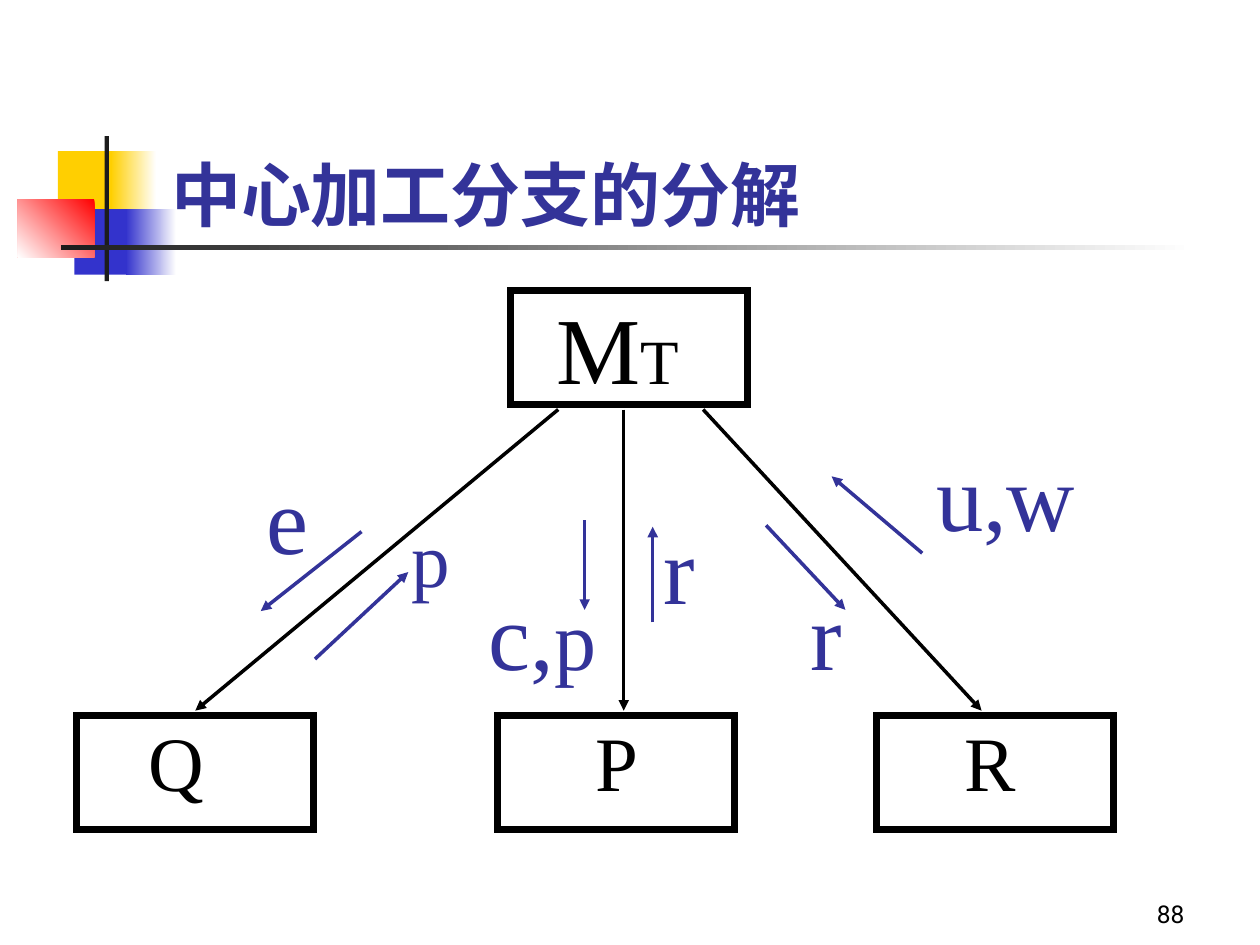
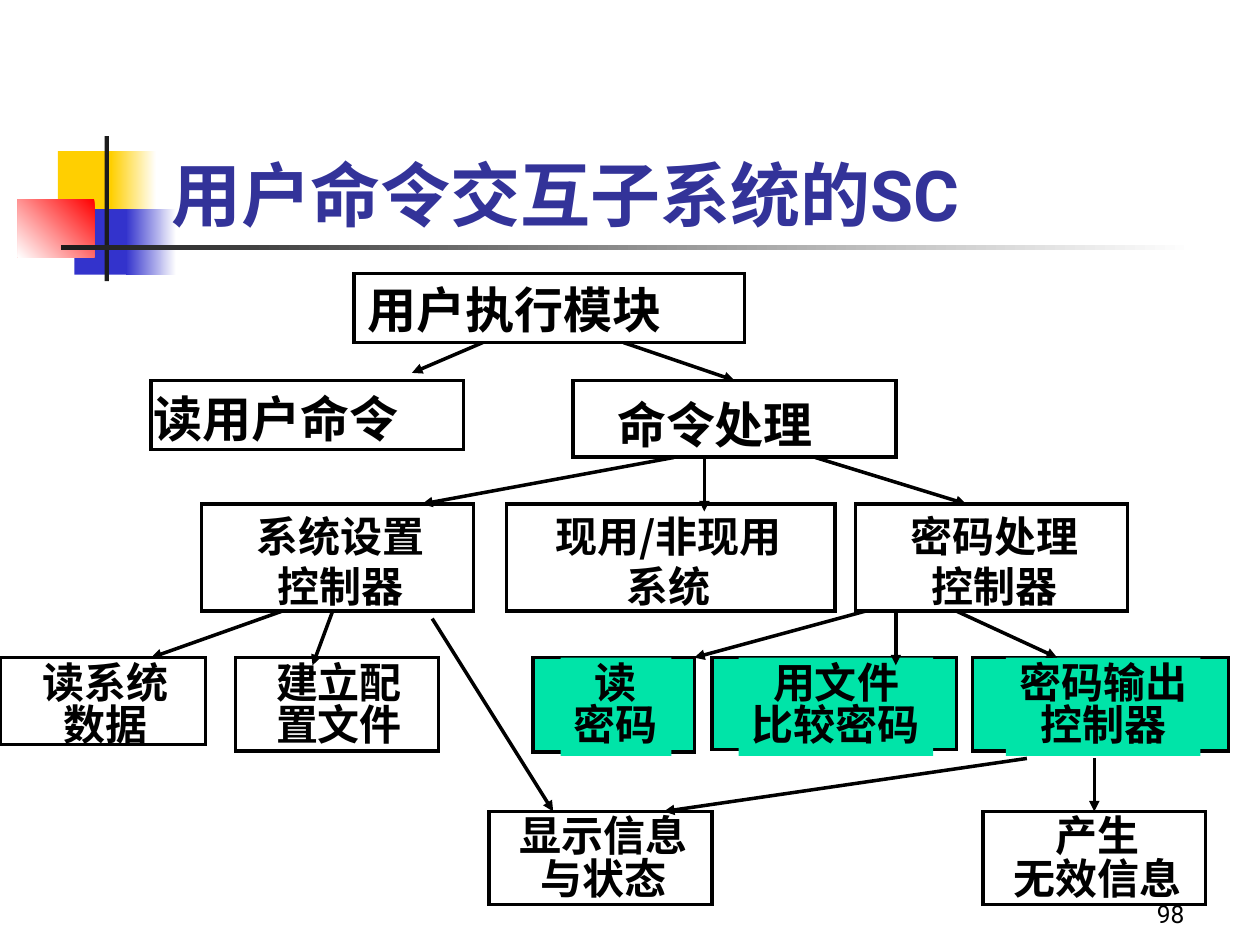
from lxml import etree
from pptx import Presentation
from pptx.dml.color import RGBColor
from pptx.enum.shapes import MSO_CONNECTOR, MSO_SHAPE
from pptx.enum.text import MSO_ANCHOR, MSO_AUTO_SIZE, PP_ALIGN
from pptx.oxml.ns import qn
from pptx.util import Pt

RECT = MSO_SHAPE.RECTANGLE
STRAIGHT = MSO_CONNECTOR.STRAIGHT
LEFT, CENTER, RIGHT = PP_ALIGN.LEFT, PP_ALIGN.CENTER, PP_ALIGN.RIGHT
TOP, BOTTOM = MSO_ANCHOR.TOP, MSO_ANCHOR.BOTTOM
GROW, FIXED = MSO_AUTO_SIZE.SHAPE_TO_FIT_TEXT, MSO_AUTO_SIZE.NONE
TOP_SIDE = 0

COLORS = {
    "white": "FFFFFF", "black": "000000", "ink": "1C1C1C", "title": "333399",
    "yellow": "FFCF01", "blue": "3333CC", "red": "FF0000", "green": "00E4A8",
}
HAN, LATIN, SERIF = "Noto Sans CJK SC", "Roboto", "Times New Roman"

ORNAMENT = [
    ((33.1, 86.4, 34.6, 37.4), ("yellow",), 0),
    ((63.4, 86.4, 25.9, 37.4), ("white", "yellow"), 180),
    ((42.5, 119.5, 33.1, 37.4), ("blue",), 0),
    ((72, 119.5, 28.8, 37.4), ("white", "blue"), 180),
    ((10.1, 113.8, 43.9, 33.1), ("red", "white"), 225),
    ((59.8, 77.8, 2.4, 82.8), ("ink",), 0),
    ((34.6, 140.2, 648, 2.5), ("white", "ink"), 180),
]
TITLE_AREA = (90.7, 48.2, 613.4, 90)
NUMBER_AREA = (534.2, 498.2, 149.8, 36)

BRANCH_TITLE, BRANCH_NUMBER = "中心加工分支的分解", "88"
MODULE_SIZE = (135.4, 64.8)
MODULES = [
    (291.6, 166.3, 311, 86, [("M", 54), ("T", 36)]),
    (284.4, 409, 333.4, 40, [("P", 44)]),
    (43.9, 409, 77.8, 47, [("Q", 44)]),
    (501.1, 409, 544.3, 45, [("R", 44)]),
]
CALL_TOP, CALL_BOTTOM = 234, 406.1
CALLS = [(356.4, 356.4), (401.8, 560.9), (319, 111.6)]
DATA_FLOWS = [
    ((206.6, 303.8, 149, 349.2), (145.4, 259.2, 39), [("e", 54)]),
    ((334.1, 297.4, 334.1, 348.5), (272.2, 325.4, 78), [("c,", 54), ("p", 48)]),
    ((373, 355.7, 373, 301), (372.2, 288, 33), [("r", 54)]),
    ((527, 316.1, 475.2, 272.2), (527.8, 246.2, 96), [("u,w", 54)]),
    ((180, 376.6, 233.3, 326.9), (228.2, 288, 37), [("p", 44)]),
    ((437.8, 300.2, 483.1, 348.5), (455.8, 325.4, 33), [("r", 54)]),
]

CHART_TITLE, CHART_NUMBER = "用户命令交互子系统的SC", "98"
COMMANDS = [
    ("用户执行模块", (202.3, 156.2, 223.2, 39.6), (203, 156.2, 184)),
    ("读用户命令", (86.4, 217.4, 178.6, 39.6), (80.6, 218.2, 156)),
    ("命令处理", (327.6, 217.4, 184.3, 43.9), (345.6, 221.8, 128)),
]
LEVELS = [
    (288, 1, [
        ("系统设置\n控制器", 115.2, 155.5, 61.2, 139.2, 111.2, "white"),
        ("现用/非现用\n系统", 289.4, 187.9, 61.2, 299, 166, "white"),
        ("密码处理\n控制器", 488.9, 155.5, 61.2, 512.9, 111.2, "white"),
    ]),
    (375.8, 0.85, [
        ("读系统\n数据", 0, 117.4, 49.7, 16.8, 87.4, "white"),
        ("建立配\n置文件", 134.6, 115.9, 53.3, 150, 87.4, "white"),
        ("读\n密码", 304.6, 92.2, 54, 320.3, 63.4, "green"),
        ("用文件\n比较密码", 406.8, 139.7, 52.6, 422.1, 111.2, "green"),
        ("密码输出\n控制器", 555.8, 146.2, 53.3, 574.8, 111.2, "green"),
    ]),
    (463.7, 0.85, [
        ("显示信息\n与状态", 279.4, 127.4, 53.3, 289.2, 111.2, "white"),
        ("产生\n无效信息", 561.6, 127.4, 53.3, 571.4, 111.2, "white"),
    ]),
]
CONTROL_ARROWS = [
    ((356.4, 195.8, 419.8, 217.4), "命令处理"),
    ((275.8, 195.8, 235.4, 213.1), None),
    ((465.8, 261.4, 552.2, 288), None),
    ((402.5, 261.4, 402.5, 292.3), None),
    ((385.2, 261.4, 241.2, 288), None),
    ((511.9, 349.2, 511.9, 380.2), None),
    ((546.5, 349.2, 604.1, 375.8), None),
    ((494.6, 349.2, 396.7, 375.8), None),
    ((190.1, 349.2, 178.6, 380.2), None),
    ((161.3, 349.2, 86.4, 375.8), None),
    ((247, 353.5, 316.1, 463.7), None),
    ((586.8, 433.4, 379.4, 463.7), None),
    ((625.3, 433.4, 625.3, 463.7), "产生\n无效信息"),
]


def rgb(name):
    return RGBColor.from_string(COLORS[name])


def points(values):
    return [Pt(value) for value in values]


def add_box(slide, area, fills, angle=0, border=0):
    box = slide.shapes.add_shape(RECT, *points(area))
    box.shadow.inherit = False
    if len(fills) == 1:
        box.fill.solid()
        box.fill.fore_color.rgb = rgb(fills[0])
    else:
        box.fill.gradient()
        box.fill.gradient_angle = angle
        for stop, name in zip(box.fill.gradient_stops, fills):
            stop.color.rgb = rgb(name)
    if border:
        box.line.color.rgb = rgb("black")
        box.line.width = Pt(border)
        corner = etree.SubElement(box.line._get_or_add_ln(), qn("a:miter"))
        corner.set("lim", "800000")
    else:
        box.line.fill.background()
    return box


def add_text(slide, area, lines, font, color="black", bold=False, align=LEFT,
             anchor=TOP, wrap=False, spacing=1, fill=None):
    label = slide.shapes.add_textbox(*points(area))
    if fill:
        label.fill.solid()
        label.fill.fore_color.rgb = rgb(fill)
    frame = label.text_frame
    frame.word_wrap = wrap
    frame.auto_size = FIXED if wrap else GROW
    frame.vertical_anchor = anchor
    for index, runs in enumerate(lines):
        paragraph = frame.add_paragraph() if index else frame.paragraphs[0]
        paragraph.alignment = align
        paragraph.line_spacing = spacing
        for text, size in runs:
            run = paragraph.add_run()
            run.text = text
            run.font.size = Pt(size)
            run.font.bold = bold
            run.font.color.rgb = rgb(color)
            run.font.name = font
            east_asian = etree.SubElement(run._r.get_or_add_rPr(), qn("a:ea"))
            east_asian.set("typeface", HAN)


def add_arrow(slide, ends, color="black", target=None):
    arrow = slide.shapes.add_connector(STRAIGHT, *points(ends))
    arrow.line.color.rgb = rgb(color)
    arrow.line.width = Pt(2)
    head = etree.SubElement(arrow.line._get_or_add_ln(), qn("a:tailEnd"))
    head.set("type", "triangle")
    etree.SubElement(arrow._element.spPr, qn("a:effectLst"))
    if target is not None:
        arrow.end_connect(target, TOP_SIDE)


def add_page(deck, title, font, number):
    slide = deck.slides.add_slide(deck.slide_layouts[6])
    for area, fills, angle in ORNAMENT:
        add_box(slide, area, fills, angle)
    add_text(slide, TITLE_AREA, [[(title, 40)]], font, "title", bold=True,
             anchor=BOTTOM, wrap=True)
    add_text(slide, NUMBER_AREA, [[(number, 14)]], LATIN, align=RIGHT,
             anchor=BOTTOM, wrap=True)
    return slide


def build_branches(deck):
    slide = add_page(deck, BRANCH_TITLE, HAN, BRANCH_NUMBER)
    for left, top, label_left, label_width, runs in MODULES:
        add_box(slide, (left, top, *MODULE_SIZE), ["white"], border=4)
        label_area = (label_left, top - 4.3, label_width, runs[0][1] * 4 / 3)
        add_text(slide, label_area, [runs], SERIF)
    for start, end in CALLS:
        add_arrow(slide, (start, CALL_TOP, end, CALL_BOTTOM))
    for ends, place, runs in DATA_FLOWS:
        add_arrow(slide, ends, "title")
        add_text(slide, (*place, runs[0][1] * 4 / 3), [runs], SERIF, "title")


def build_structure_chart(deck):
    slide = add_page(deck, CHART_TITLE, LATIN, CHART_NUMBER)
    boxes = {}
    for name, area, place in COMMANDS:
        boxes[name] = add_box(slide, area, ["white"], border=2)
        add_text(slide, (*place, 40.3), [[(name, 28)]], HAN, bold=True)
    for top, spacing, controllers in LEVELS:
        for name, left, width, height, label_left, label_width, fill in controllers:
            boxes[name] = add_box(slide, (left, top, width, height), [fill], border=2)
            lines = [[(line, 24)] for line in name.split("\n")]
            label_area = (label_left, top, label_width, 64.8 if spacing == 1 else 56.2)
            add_text(slide, label_area, lines, HAN, bold=True, align=CENTER,
                     spacing=spacing, fill=fill if fill == "green" else None)
    for ends, target in CONTROL_ARROWS:
        add_arrow(slide, ends, target=boxes.get(target))


def main():
    deck = Presentation()
    deck.slide_width, deck.slide_height = Pt(720), Pt(540)
    build_branches(deck)
    build_structure_chart(deck)
    deck.save("out.pptx")


if __name__ == "__main__":
    main()
